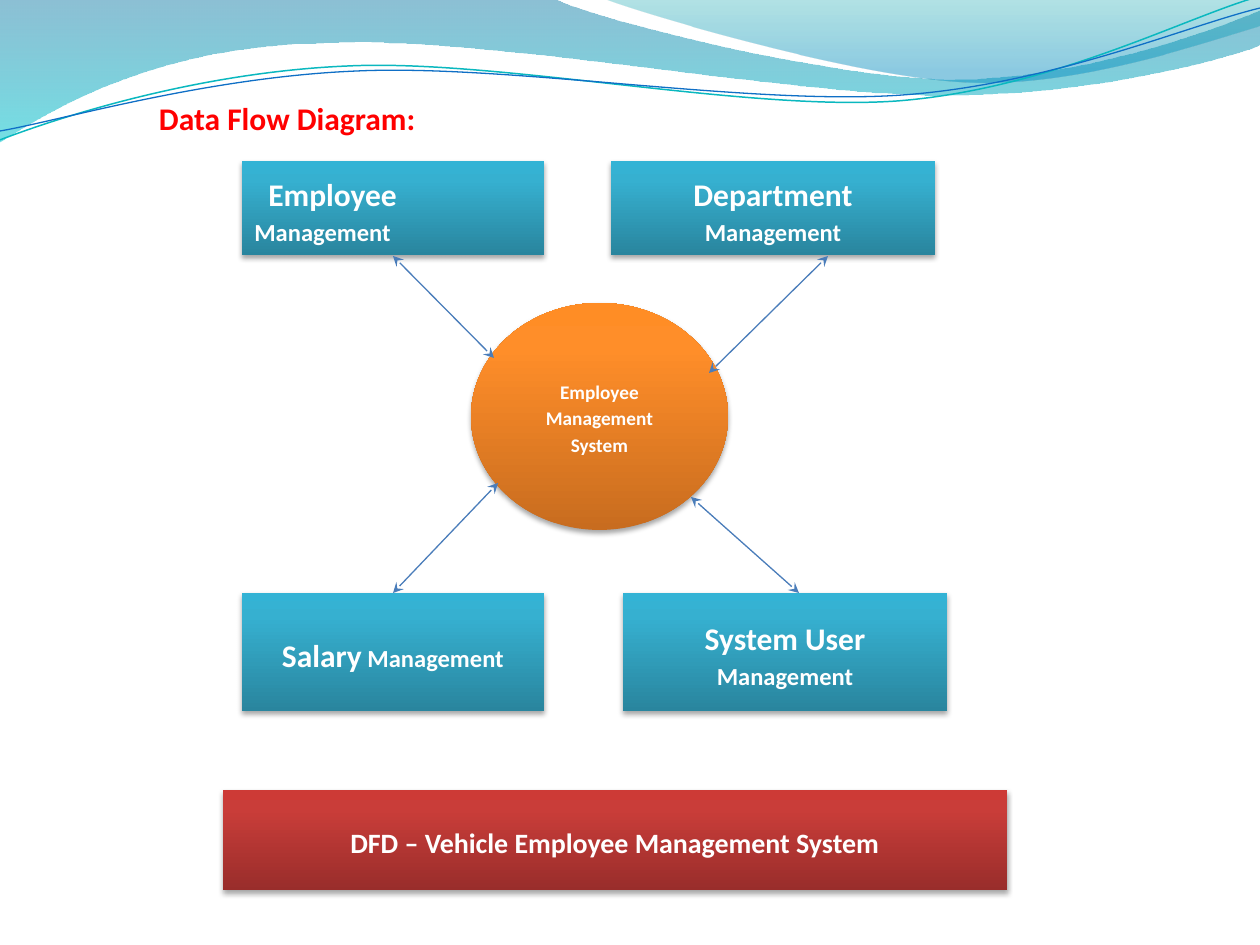
"""Build the data flow diagram slide of an employee management system."""
import math

from lxml import etree
from pptx import Presentation
from pptx import util as u
from pptx.dml.color import RGBColor
from pptx.enum import shapes, text
from pptx.oxml.ns import qn

PX = 914400 / 126
WHITE = RGBColor(0xFF, 0xFF, 0xFF)
RED = RGBColor(0xFF, 0x00, 0x00)
ARROW_BLUE = RGBColor(0x4A, 0x7D, 0xBA)
WAVE_TEAL = RGBColor(0x0A, 0xB8, 0xBF)
WAVE_BLUE = RGBColor(0x0F, 0x6F, 0xC6)


def stops(*entries):
    return [(pos, RGBColor.from_string(color), alpha) for pos, color, alpha in entries]


TEAL = stops((0, "29859E", 100), (80, "36B0D0", 100), (100, "33B3D5", 100))
ORANGE = stops((0, "C86C1F", 100), (80, "FF8E29", 100), (100, "FF8D25", 100))
BRICK = stops((0, "992D2B", 100), (80, "C93D39", 100), (100, "CD3A36", 100))
BAND = stops((0, "0074A1", 45), (100, "00C6CF", 55))
CREST = stops((0, "00A1A9", 30), (80, "008BBF", 45))


def px(value):
    return u.Emu(round(value * PX))


def turn(point, center, degrees):
    angle = math.radians(degrees)
    x, y = (a - b for a, b in zip(point, center))
    return (center[0] + x * math.cos(angle) - y * math.sin(angle),
            center[1] + x * math.sin(angle) + y * math.cos(angle))


def child(parent, tag, **attributes):
    return etree.SubElement(parent, qn(tag), {k: str(v) for k, v in attributes.items()})


class Diagram:
    """Hold the text style and the current slide."""

    def __init__(self, slide, font="Calibri"):
        self.slide = slide
        self.font = font

    def style(self, run, size, color=WHITE):
        for name, value in {"name": self.font, "size": u.Pt(size), "bold": True}.items():
            setattr(run.font, name, value)
        run.font.color.rgb = color

    def gradient(self, shape, colors, angle):
        shape.fill.gradient()
        shape.fill.gradient_angle = angle
        stop_list = shape._element.spPr.find(".//" + qn("a:gsLst"))
        stop_list.clear()
        for pos, color, alpha in colors:
            stop = child(stop_list, "a:gs", pos=pos * 1000)
            child(child(stop, "a:srgbClr", val=color), "a:alpha", val=alpha * 1000)

    def title(self, wording, left, top, width, height):
        title = self.slide.shapes.title
        for name, value in dict(left=left, top=top, width=width, height=height).items():
            setattr(title, name, px(value))
        frame = title.text_frame
        for name, value in {"margin_left": px(159), "margin_top": px(26), "margin_bottom": 0,
                            "vertical_anchor": text.MSO_ANCHOR.MIDDLE,
                            "auto_size": text.MSO_AUTO_SIZE.NONE}.items():
            setattr(frame, name, value)
        heading = frame.paragraphs[0]
        heading.alignment = text.PP_ALIGN.LEFT
        run = heading.add_run()
        run.text = wording
        self.style(run, 18, RED)

    def wave(self, start, segments, colors=None, line=None, width=0.75, tilt=0):
        center = (629, 72)
        points = [start] + [point for segment in segments for point in segment]
        emu = [tuple(map(px, turn(point, center, -tilt))) for point in points]
        builder = self.slide.shapes.build_freeform(*emu[0])
        builder.add_line_segments(emu[1:], close=bool(colors))
        wave = builder.convert_to_shape()
        self.curve(wave, segments)
        wave.rotation = tilt
        wave.shadow.inherit = False
        if colors:
            self.gradient(wave, colors, 270)
            wave.line.fill.background()
        else:
            wave.fill.background()
            wave.line.color.rgb = line
            wave.line.width = u.Pt(width)
        self.slide.slide_layout.slide_master.shapes._spTree.append(wave._element)

    def curve(self, wave, segments):
        outline = wave._element.spPr.find(".//" + qn("a:path"))
        straight = outline.findall(qn("a:lnTo"))
        for segment in segments:
            steps, straight = straight[:len(segment)], straight[len(segment):]
            if len(segment) == 3:
                bend = etree.Element(qn("a:cubicBezTo"))
                steps[0].addprevious(bend)
                for step in steps:
                    bend.append(step[0])
                    outline.remove(step)

    def block(self, kind, bounds, colors, runs, align=text.PP_ALIGN.CENTER, indent=0):
        block = self.slide.shapes.add_shape(kind, *map(px, bounds))
        self.gradient(block, colors, 90)
        block.line.fill.background()
        block.shadow.inherit = False
        effects = block._element.spPr.find(qn("a:effectLst"))
        shadow = child(effects, "a:outerShdw", blurRad=u.Pt(3.1), dist=u.Pt(1.8),
                       dir=5400000, rotWithShape=0)
        child(child(shadow, "a:srgbClr", val="000000"), "a:alpha", val=35000)
        frame = block.text_frame
        frame.word_wrap = True
        frame.vertical_anchor = text.MSO_ANCHOR.MIDDLE
        label = frame.paragraphs[0]
        label.alignment = align
        label.line_spacing = 1.15
        if indent:
            label._p.get_or_add_pPr().set("indent", str(px(indent)))
        for wording, size in runs:
            run = label.add_run()
            run.text = wording
            self.style(run, size)

    def arrow(self, start, end):
        arrow = self.slide.shapes.add_connector(
            shapes.MSO_CONNECTOR.STRAIGHT, *map(px, start + end))
        arrow.line.color.rgb = ARROW_BLUE
        arrow.line.width = u.Pt(0.75)
        for tag in ("a:headEnd", "a:tailEnd"):
            child(arrow.line._get_or_add_ln(), tag, type="stealth")
        child(arrow._element.spPr, "a:effectLst")


def main():
    deck = Presentation()
    deck.slide_width, deck.slide_height = px(1260), px(945)
    diagram = Diagram(deck.slides.add_slide(deck.slide_layouts[5]))

    diagram.wave((0, 0), [
        [(554, -1)],
        ((600, 21), (837, 79), (955, 79)),
        ((1075, 79), (1207, 33), (1260, 11)),
        [(1261, 45)],
        ((1239, 55), (1096, 96), (940, 95)),
        ((784, 95), (481, 35), (324, 43)),
        ((163, 45), (58, 105), (-1, 142)),
        [(0, 0)]], BAND)
    diagram.wave((604, -1), [
        ((641, 14), (859, 78), (969, 82)),
        ((1079, 87), (1211, 40), (1260, 26)),
        [(1260, 0)], [(604, -1)]], CREST)
    diagram.wave((0, 140), [
        ((60, 117), (199, 72), (349, 66)),
        ((498, 59), (747, 112), (898, 101)),
        ((1050, 89), (1182, 19), (1257, -3))], line=WAVE_TEAL, width=0.85, tilt=-2.7)
    diagram.wave((0, 131), [
        ((59, 121), (207, 77), (357, 71)),
        ((508, 64), (752, 106), (903, 95)),
        ((1053, 84), (1186, 26), (1260, 8))], line=WAVE_BLUE, tilt=-2.7)

    rect, ellipse = shapes.MSO_SHAPE.RECTANGLE, shapes.MSO_SHAPE.OVAL
    management = ("Management", 14)
    diagram.block(ellipse, (471, 303, 257, 227), ORANGE,
                  [("Employee Management System", 11)])
    diagram.block(rect, (242, 161, 302, 94), TEAL, [("Employee ", 18), management],
                  text.PP_ALIGN.LEFT, 14)
    diagram.block(rect, (611, 161, 324, 94), TEAL, [("Department ", 18), management])
    diagram.block(rect, (623, 593, 324, 118), TEAL, [("System User ", 18), management])
    diagram.block(rect, (242, 593, 302, 118), TEAL,
                  [("Salary", 18), (" Management", 14)])

    for start, end in (((393, 256), (494, 358)), ((828, 256), (709, 373)),
                       ((393, 593), (498, 483)), ((799, 593), (691, 497))):
        diagram.arrow(start, end)
    diagram.block(rect, (223, 790, 784, 100), BRICK,
                  [("DFD – Vehicle Employee Management System", 16)])
    diagram.title("Data Flow Diagram:", 0, 69, 448, 72)
    deck.save("out.pptx")


if __name__ == "__main__":
    main()
